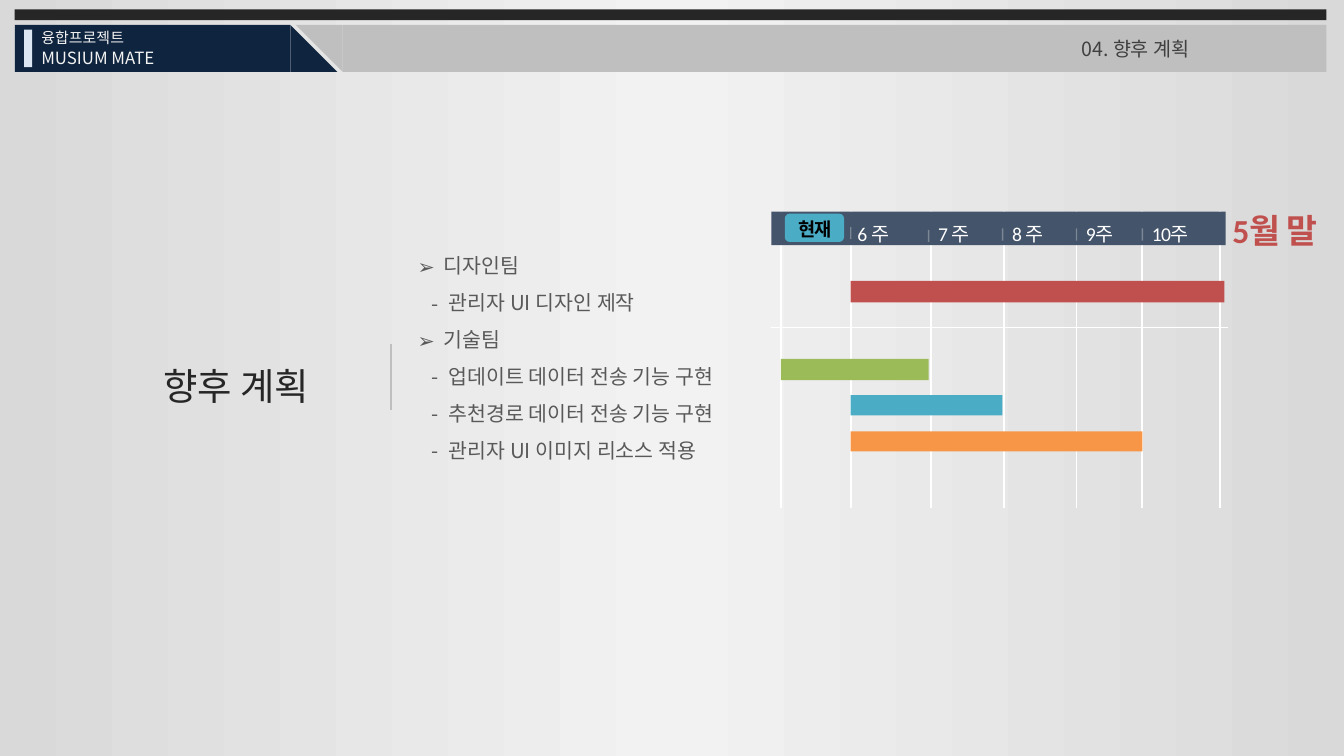
from copy import deepcopy
from dataclasses import dataclass

from lxml.etree import SubElement
from pptx import Presentation
from pptx.dml.color import RGBColor
from pptx.enum.shapes import MSO_CONNECTOR, MSO_SHAPE
from pptx.enum.text import MSO_ANCHOR, PP_ALIGN
from pptx.oxml.ns import qn
from pptx.util import Emu, Inches, Pt

# The slide is a grid of square cells, 100 columns wide.
COLUMNS, ROWS = 100, 56.25
CELL = Inches(0.1)

KOREAN, LATIN = "Noto Sans CJK KR", "Calibri"
COLORS = {
    "edge": "D9D9D9", "pale": "F2F2F2", "white": "FFFFFF", "black": "000000",
    "ink": "262626", "navy": "0F243E", "silver": "BFBFBF", "ice": "DCE6F2",
    "body": "595959", "section": "404040", "slate": "44546A", "red": "C0504D",
    "green": "9BBB59", "teal": "4BACC6", "orange": "F79646",
}


@dataclass(frozen=True)
class Area:
    left: float
    top: float
    width: float
    height: float

    def lengths(self) -> list[Emu]:
        return [cells(n) for n in (self.left, self.top, self.width, self.height)]


@dataclass(frozen=True)
class Bar:
    start: float
    end: float
    top: float
    height: float
    color: str


@dataclass(frozen=True)
class Week:
    label: str
    tick: float
    tick_top: float
    label_left: float


@dataclass(frozen=True)
class Bullet:
    """Mark of a list level, with its text margin and hanging indent in inches."""
    mark: str
    margin: float
    hanging: float


TEAM = Bullet("➢", 0.19, 0.19)
TASK = Bullet("-", 0.23, 0.13)
PLAN = [
    (TEAM, "디자인팀"),
    (TASK, "관리자 UI 디자인 제작"),
    (TEAM, "기술팀"),
    (TASK, "업데이트 데이터 전송 기능 구현"),
    (TASK, "추천경로 데이터 전송 기능 구현"),
    (TASK, "관리자 UI 이미지 리소스 적용"),
]
WEEK_LINES = [58.1, 63.3, 69.3, 74.7, 80.1, 85, 90.8]
WEEK_LABEL_WIDTH = 4.5
WEEKS = [
    Week("6 주", 63.3, 16.9, 63.8),
    Week("7 주", 69.1, 17.1, 69.8),
    Week("8 주", 74.6, 17, 75.3),
    Week("9주", 80.1, 17, 80.8),
    Week("10주", 85, 17, 85.7),
]
BARS = [
    Bar(63.3, 91.1, 20.9, 1.6, "red"),
    Bar(58.1, 69.1, 26.7, 1.6, "green"),
    Bar(63.3, 74.6, 29.4, 1.5, "teal"),
    Bar(63.3, 85, 32.1, 1.5, "orange"),
]


def cells(count: float) -> Emu:
    return Emu(round(count * CELL))


def rgb(color: str) -> RGBColor:
    return RGBColor.from_string(COLORS[color])


def paint_background(slide) -> None:
    fill = slide.background.fill
    fill.gradient()
    fill.gradient_angle = 0
    stop_list = slide.element.find(".//" + qn("a:gsLst"))
    stop_list.insert(1, deepcopy(stop_list[0]))
    for stop, color, position in zip(fill.gradient_stops, ("edge", "pale", "edge"), (0, 0.5, 1)):
        stop.color.rgb = rgb(color)
        stop.position = position


def add_block(shapes, area: Area, color: str, kind=MSO_SHAPE.RECTANGLE, rotation: float = 0) -> None:
    block = shapes.add_shape(kind, *area.lengths())
    block.fill.solid()
    block.fill.fore_color.rgb = rgb(color)
    block.line.fill.background()
    block.shadow.inherit = False
    block.rotation = rotation


def add_rule(shapes, start: tuple[float, float], end: tuple[float, float], color: str,
             weight: float, opacity: int = 100) -> None:
    rule = shapes.add_connector(MSO_CONNECTOR.STRAIGHT, *map(cells, (*start, *end)))
    rule.line.color.rgb = rgb(color)
    rule.line.width = Pt(weight)
    properties = rule.element.spPr
    if opacity < 100:
        SubElement(properties.find(".//" + qn("a:srgbClr")), qn("a:alpha"), val=str(opacity * 1000))
    SubElement(properties, qn("a:effectLst"))


def set_bullet(paragraph, bullet: Bullet) -> None:
    properties = paragraph._p.get_or_add_pPr()
    properties.set("marL", str(Inches(bullet.margin)))
    properties.set("indent", str(-Inches(bullet.hanging)))
    SubElement(properties, qn("a:buFont"), typeface=KOREAN)
    SubElement(properties, qn("a:buChar"), char=bullet.mark)


def add_text(shapes, area: Area, *lines: str, size: float, color: str, font: str = KOREAN,
             bold: bool = False, align=PP_ALIGN.LEFT, spacing: float = 1, tight: bool = False,
             tracking: float = 0, bullets: tuple[Bullet, ...] = ()) -> None:
    """Add a text box; a tight one has no insets and is centred vertically."""
    frame = shapes.add_textbox(*area.lengths()).text_frame
    frame.word_wrap = True
    if tight:
        frame.margin_left = frame.margin_right = frame.margin_top = frame.margin_bottom = 0
        frame.vertical_anchor = MSO_ANCHOR.MIDDLE
    for index, line in enumerate(lines):
        paragraph = frame.paragraphs[0] if index == 0 else frame.add_paragraph()
        paragraph.alignment = align
        paragraph.line_spacing = spacing
        if bullets:
            set_bullet(paragraph, bullets[index])
        run = paragraph.add_run()
        run.text = line
        run.font.size = Pt(size)
        run.font.bold = bold
        run.font.color.rgb = rgb(color)
        run.font.name = font
        properties = run._r.get_or_add_rPr()
        SubElement(properties, qn("a:ea"), typeface=KOREAN)
        if tracking:
            properties.set("spc", str(round(tracking * 100)))


def draw_header(shapes) -> None:
    add_block(shapes, Area(1.1, 0.7, 97.6, 0.8), "ink")
    add_block(shapes, Area(1.1, 1.85, 20.5, 3.5), "navy")
    add_block(shapes, Area(21.6, 1.85, 3.5, 3.5), "navy", MSO_SHAPE.RIGHT_TRIANGLE)
    band = shapes.add_group_shape().shapes
    add_block(band, Area(25.5, 1.85, 73.2, 3.5), "silver")
    add_block(band, Area(22, 1.85, 3.5, 3.5), "silver", MSO_SHAPE.RIGHT_TRIANGLE, rotation=180)
    add_text(shapes, Area(2.1, 1.65, 15, 2.4), "융합프로젝트", size=8, color="pale")
    add_text(shapes, Area(2.1, 3.05, 15, 2.5), "MUSIUM MATE", size=9, color="pale")
    add_block(shapes, Area(1.8, 2.2, 0.6, 2.8), "ice")
    add_text(shapes, Area(79.5, 2.25, 19, 2.8), "04. 향후 계획", size=10.5, color="section")


def draw_plan(shapes) -> None:
    add_text(shapes, Area(5.4, 26.5, 24.4, 4.4), "향후 계획", size=20, color="ink",
             align=PP_ALIGN.CENTER)
    add_rule(shapes, (29.1, 25.6), (29.1, 30.5), "silver", 1.5)
    bullets, lines = zip(*PLAN)
    add_text(shapes, Area(30.1, 17.4, 46.6, 17.7), *lines, size=11, color="body",
             align=PP_ALIGN.JUSTIFY, spacing=1.5, bullets=bullets)


def draw_schedule(shapes) -> None:
    for column in WEEK_LINES:
        add_rule(shapes, (column, 15.7), (column, 37.8), "white", 1)
    add_block(shapes, Area(57.4, 15.75, 33.8, 2.5), "slate")
    for week in WEEKS:
        add_rule(shapes, (week.tick, week.tick_top), (week.tick, week.tick_top + 0.9),
                 "white", 0.75, opacity=30)
        add_text(shapes, Area(week.label_left, 16.8, WEEK_LABEL_WIDTH, 1.1), week.label, size=10.5,
                 color="white", font=LATIN, tight=True, tracking=-0.3)
    add_text(shapes, Area(91.4, 15.6, 6.9, 3), "5월 말", size=18, color="red", font=LATIN,
             bold=True, align=PP_ALIGN.CENTER, tight=True, tracking=-0.4)
    badge = shapes.add_group_shape().shapes
    add_block(badge, Area(58.4, 15.9, 4.4, 2.1), "teal", MSO_SHAPE.ROUNDED_RECTANGLE)
    add_text(badge, Area(58.6, 16.2, 4.1, 1.7), "현재", size=10, color="black", font=LATIN,
             bold=True, align=PP_ALIGN.CENTER, tight=True, tracking=-0.1)
    for bar in BARS:
        add_block(shapes, Area(bar.start, bar.top, bar.end - bar.start, bar.height), bar.color)
    add_rule(shapes, (57.4, 24.4), (91.4, 24.4), "white", 0.5)


def main() -> None:
    presentation = Presentation()
    presentation.slide_width, presentation.slide_height = cells(COLUMNS), cells(ROWS)
    slide = presentation.slides.add_slide(presentation.slide_layouts[6])
    paint_background(slide)
    draw_header(slide.shapes)
    draw_plan(slide.shapes)
    draw_schedule(slide.shapes)
    presentation.save("out.pptx")


if __name__ == "__main__":
    main()
